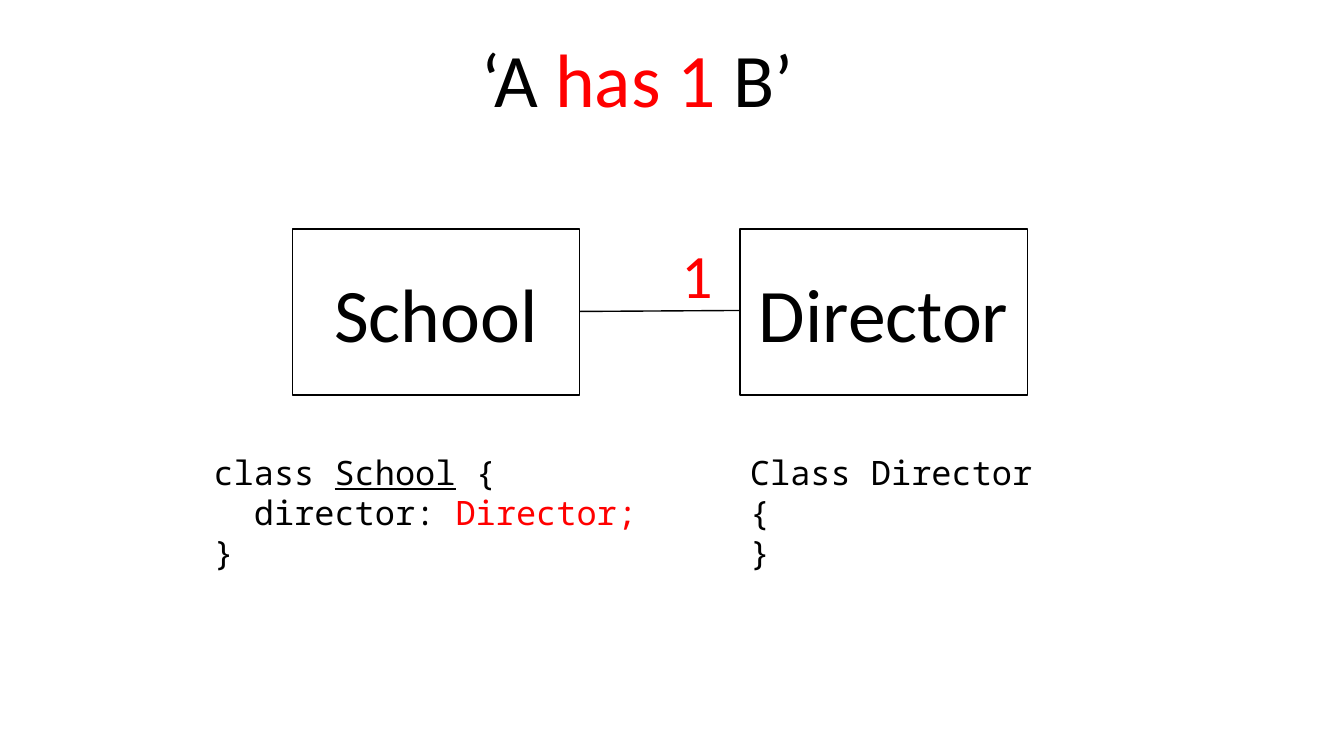
from pptx import Presentation
from pptx.dml.color import RGBColor as RGB
from pptx.enum.shapes import MSO_CONNECTOR as Link, MSO_SHAPE as Form
from pptx.enum.text import MSO_ANCHOR as Anchor, MSO_AUTO_SIZE as Fit, PP_ALIGN as Align
from pptx.oxml.ns import qn
from pptx.util import Inches, Pt

HUES = {"ink": "000000", "mark": "FF0000", "page": "FFFFFF"}
SANS, MONO = "Calibri", "Noto Sans Mono"


def hue(name):
    return RGB.from_string(HUES[name])


class Board:
    """Places elements by percent of the slide's width and height."""

    def __init__(self, deck):
        self.deck = deck
        self.slide = deck.slides.add_slide(deck.slide_layouts[6])
        self.shapes = self.slide.shapes

    def spot(self, x, y):
        return (int(self.deck.slide_width * x / 100),
                int(self.deck.slide_height * y / 100))

    def area(self, x, y, w, h):
        return *self.spot(x, y), *self.spot(w, h)

    def letter(self, frame, lines, size, font=SANS, align=Align.LEFT):
        """Fill a frame; each line is a list of (text, colour, underline) runs."""
        frame.word_wrap = True
        for i, runs in enumerate(lines):
            para = frame.paragraphs[0] if i == 0 else frame.add_paragraph()
            para.alignment = align
            for text, tone, under in runs:
                run = para.add_run()
                run.text = text
                run.font.name, run.font.size = font, Pt(size)
                run.font.color.rgb = hue(tone)
                run.font.underline = under

    def text(self, place, lines, size, **style):
        frame = self.shapes.add_textbox(*self.area(*place)).text_frame
        frame.auto_size = Fit.SHAPE_TO_FIT_TEXT
        self.letter(frame, lines, size, **style)
        return frame

    def stroke(self, line):
        line.color.rgb, line.width = hue("ink"), Pt(1)

    def box(self, place, name):
        shape = self.shapes.add_shape(Form.RECTANGLE, *self.area(*place))
        shape.shadow.inherit = False
        shape.fill.solid()
        shape.fill.fore_color.rgb = hue("page")
        self.stroke(shape.line)
        shape.text_frame.vertical_anchor = Anchor.MIDDLE
        self.letter(shape.text_frame, [[ink(name)]], 54, align=Align.CENTER)

    def link(self, start, end):
        line = self.shapes.add_connector(
            Link.STRAIGHT, *self.spot(*start), *self.spot(*end))
        self.stroke(line.line)
        props = line._element.spPr
        props.append(props.makeelement(qn("a:effectLst"), {}))


def ink(text, under=False):
    return text, "ink", under


def mark(text):
    return text, "mark", False


def indent(para, width):
    para._p.get_or_add_pPr().set("marL", str(Inches(width)))


def main():
    deck = Presentation()
    deck.slide_width, deck.slide_height = Inches(13.33), Inches(7.5)
    board = Board(deck)

    left, right, top = 21.75, 55.06, 30.27
    wide, high = 21.38, 22
    for x, name in ((left, "School"), (right, "Director")):
        board.box((x, top, wide, high), name)
    board.link((left + wide, 41.2), (right, 41.07))

    board.text((35.11, 3.6, 24.91, 13.47),
               [[ink("‘A "), mark("has 1 "), ink("B’")]],
               54, align=Align.JUSTIFY)
    board.text((49.96, 30.67, 3.83, 11.2), [[mark("1")]], 44)

    base = 59.07
    code = board.text((15.15, base, 34.88, 22.93), [
        [ink("class "), ink("School", True), ink(" {")],
        [ink("director: "), mark("Director;")],
        [ink("}")],
    ], 24, font=MONO)
    indent(code.paragraphs[1], 0.4)
    board.text((right, base, 23.86, 17.47),
               [[ink("Class Director {")], [ink("}")]], 24, font=MONO)

    deck.save("out.pptx")


if __name__ == "__main__":
    main()
